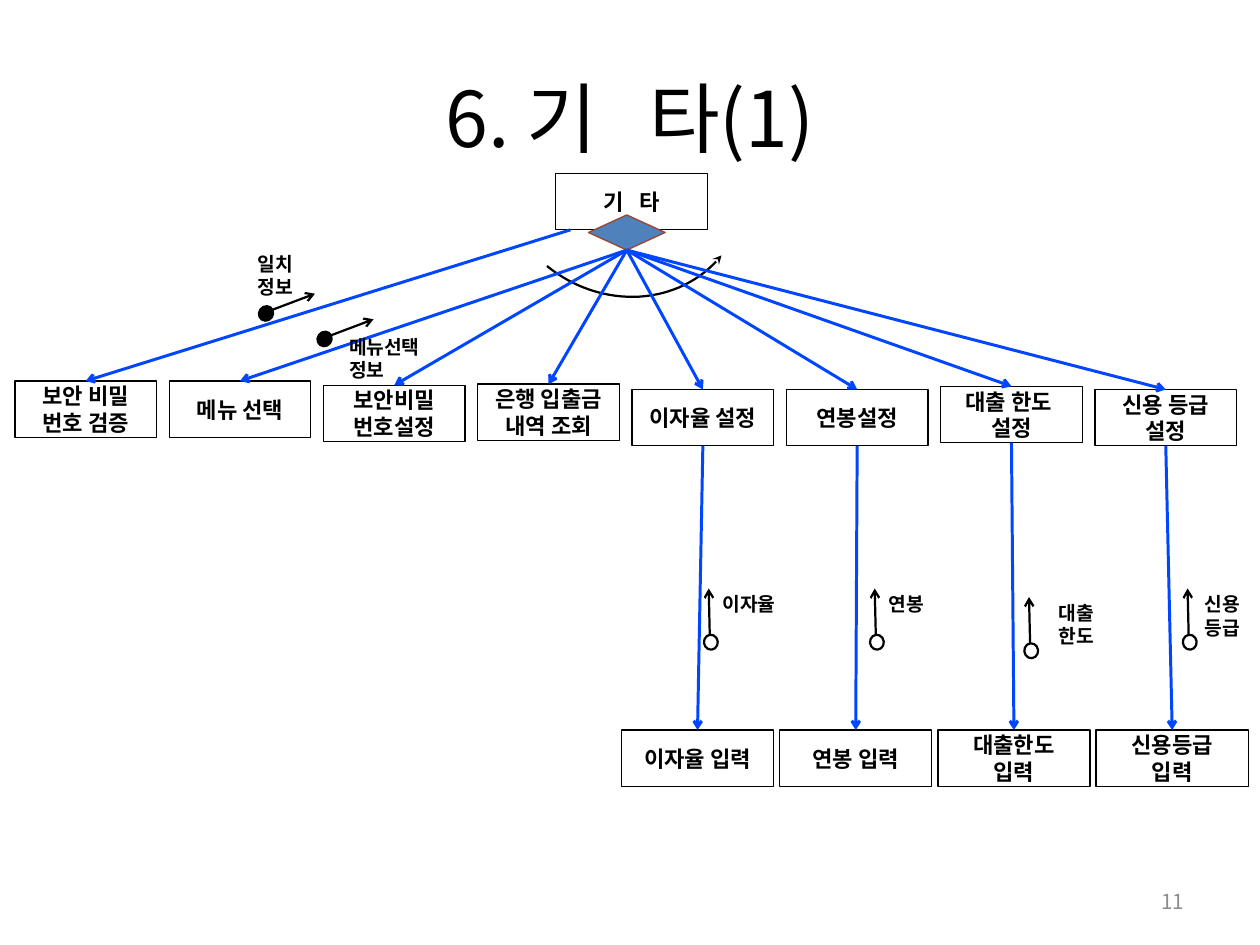
from pptx import Presentation
from pptx.util import Inches, Pt
from pptx.dml.color import RGBColor as RGB
from pptx.enum.shapes import MSO_SHAPE as Shape, MSO_CONNECTOR as Link
from pptx.enum.text import PP_ALIGN as Align, MSO_ANCHOR as Anchor
from pptx.oxml.ns import qn
from lxml.etree import SubElement as Sub

FONT = "Noto Sans CJK KR"
HUE = {"ink": "000000", "paper": "FFFFFF", "link": "0046FF",
       "gem": "4F81BD", "rim": "994733", "page": "8C8C8C"}

# Menu boxes: label and top edge
MENU = [("보안 비밀\n번호 검증", 3.58), ("메뉴 선택", 3.58),
        ("보안비밀\n번호설정", 3.62), ("은행 입출금 내역 조회", 3.61),
        ("이자율 설정", 3.66), ("연봉설정", 3.66),
        ("대출 한도 \n설정", 3.63), ("신용 등급\n설정", 3.66)]
INPUT = ["이자율 입력", "연봉 입력", "대출한도\n입력", "신용등급\n입력"]
# Data flows: label, its left and top, circle left and top
DATA = [("이자율", 6.7, 5.53, 6.61, 5.97), ("연봉", 8.26, 5.53, 8.17, 5.97),
        ("대출 한도", 9.86, 5.61, 9.62, 6.05),
        ("신용\n등급", 11.23, 5.53, 11.11, 5.97)]
# Control flows: the same, then label width
FLAG = [("일치 정보", 2.33, 2.33, 2.43, 2.88, 0.63),
        ("메뉴선택정보", 3.19, 3.11, 2.98, 3.12, 0.86)]


def write(shape, text, size=15, hue="ink", bold=True, align=Align.CENTER,
          anchor=Anchor.MIDDLE, pad=(0.09, 0.04)):
    frame = shape.text_frame
    frame.word_wrap = True
    frame.vertical_anchor = anchor
    frame.margin_left = frame.margin_right = Inches(pad[0])
    frame.margin_top = frame.margin_bottom = Inches(pad[1])
    frame.text = text
    for para in frame.paragraphs:
        para.alignment = align
        for run in para.runs:
            font = run.font
            font.name, font.size, font.bold = FONT, Pt(size), bold
            font.color.rgb = RGB.from_string(HUE[hue])
            Sub(run._r.get_or_add_rPr(), qn("a:ea"), typeface=FONT)


def draw(slide, kind, box, fill="paper", line="ink", width=0.9):
    shape = slide.shapes.add_shape(kind, *map(Inches, box))
    shape.shadow.inherit = False
    shape.fill.solid()
    shape.fill.fore_color.rgb = RGB.from_string(HUE[fill])
    shape.line.color.rgb = RGB.from_string(HUE[line])
    shape.line.width = Pt(width)
    return shape


def block(slide, text, box):
    shape = draw(slide, Shape.RECTANGLE, box)
    write(shape, text)
    return shape


def label(slide, text, box, **form):
    write(slide.shapes.add_textbox(*map(Inches, box)), text, **form)


def arrow(slide, start, end, hue="link", width=2):
    """Each end is a point, or a shape with its connection site."""
    line = slide.shapes.add_connector(Link.STRAIGHT, 0, 0, 0, 0)
    if isinstance(start[0], float):
        line.begin_x, line.begin_y = map(Inches, start)
    else:
        line.begin_connect(*start)
    if isinstance(end[0], float):
        line.end_x, line.end_y = map(Inches, end)
    else:
        line.end_connect(*end)
    line.line.color.rgb = RGB.from_string(HUE[hue])
    line.line.width = Pt(width)
    Sub(line.line._get_or_add_ln(), qn("a:tailEnd"), type="arrow")
    Sub(line._element.spPr, qn("a:effectLst"))


def flow(slide, x, y, fill, turn, start, end):
    """Circle at x, y with an arrow given by offsets from it."""
    dot = draw(slide, Shape.FLOWCHART_CONNECTOR, (x, y, 0.14, 0.13),
               fill, width=1.5)
    dot.rotation = turn
    arrow(slide, (x + start[0], y + start[1]), (x + end[0], y + end[1]),
          "ink", 1.5)


def sweep(slide, knots, steps=32):
    """Open curve along a cubic, with its arrowhead at the start."""
    spots = []
    for i in range(steps + 1):
        t = i / steps
        mix = ((1 - t)**3, 3 * t * (1 - t)**2, 3 * t * t * (1 - t), t**3)
        spots.append([Inches(sum(m * k[axis] for m, k in zip(mix, knots)))
                      for axis in (0, 1)])
    path = slide.shapes.build_freeform(*spots[0])
    path.add_line_segments(spots[1:], close=False)
    curve = path.convert_to_shape()
    curve.shadow.inherit = False
    curve.fill.background()
    curve.line.color.rgb = RGB.from_string(HUE["ink"])
    curve.line.width = Pt(1.5)
    Sub(curve.line._get_or_add_ln(), qn("a:headEnd"), type="stealth")


def head(slide, x, y, w, h):
    title = slide.shapes.title
    title.left, title.top, title.width, title.height = map(
        Inches, (x, y, w, h))
    write(title, "6. 기   타(1)", size=52, bold=False, pad=(0.12, 0.06))


def tree(slide, x, y):
    """Root, menu row and input row, joined by arrows."""
    block(slide, "기   타", (x + 5.08, y, 1.43, 0.53))
    gem = draw(slide, Shape.DIAMOND, (x + 5.39, y + 0.39, 0.72, 0.33),
               "gem", "rim")
    sweep(slide, [(6.78, 2.4), (6.39, 2.88), (5.66, 2.92), (5.14, 2.5)])
    menu = [block(slide, text, (x + 1.45 * i, top, 1.33, 0.53))
            for i, (text, top) in enumerate(MENU)]
    for i, box in enumerate(menu):
        arrow(slide, (gem, 2) if i else (x + 5.22, y + 0.53), (box, 0))
    for i, text in enumerate(INPUT):
        box = block(slide, text, (x + 5.7 + 4.46 / 3 * i, y + 5.23,
                                  1.43, 0.53))
        arrow(slide, (menu[i + 4], 2), (box, 0))


def flows(slide):
    form = dict(size=13, align=Align.LEFT, anchor=Anchor.TOP)
    for text, left, top, x, y in DATA:
        flow(slide, x, y, "paper", 84.2, (0.06, 0.0), (0.05, -0.44))
        label(slide, text, (left, top, 0.72, 0.53), **form)
    for text, left, top, x, y, wide in FLAG:
        flow(slide, x, y, "ink", 126, (0.0, 0.08), (0.53, -0.12))
        label(slide, text, (left, top, wide, 0.53), **form)


def main():
    deck = Presentation()
    deck.slide_width, deck.slide_height = Inches(11.84), Inches(8.88)
    slide = deck.slides.add_slide(deck.slide_layouts[5])
    head(slide, 0.59, 0.36, 10.66, 1.48)
    tree(slide, 0.14, 1.63)
    flows(slide)
    # Page number
    label(slide, "11", (8.49, 8.23, 2.76, 0.47), size=14, hue="page",
          bold=False, align=Align.RIGHT, pad=(0.12, 0.06))
    deck.save("out.pptx")


if __name__ == "__main__":
    main()
